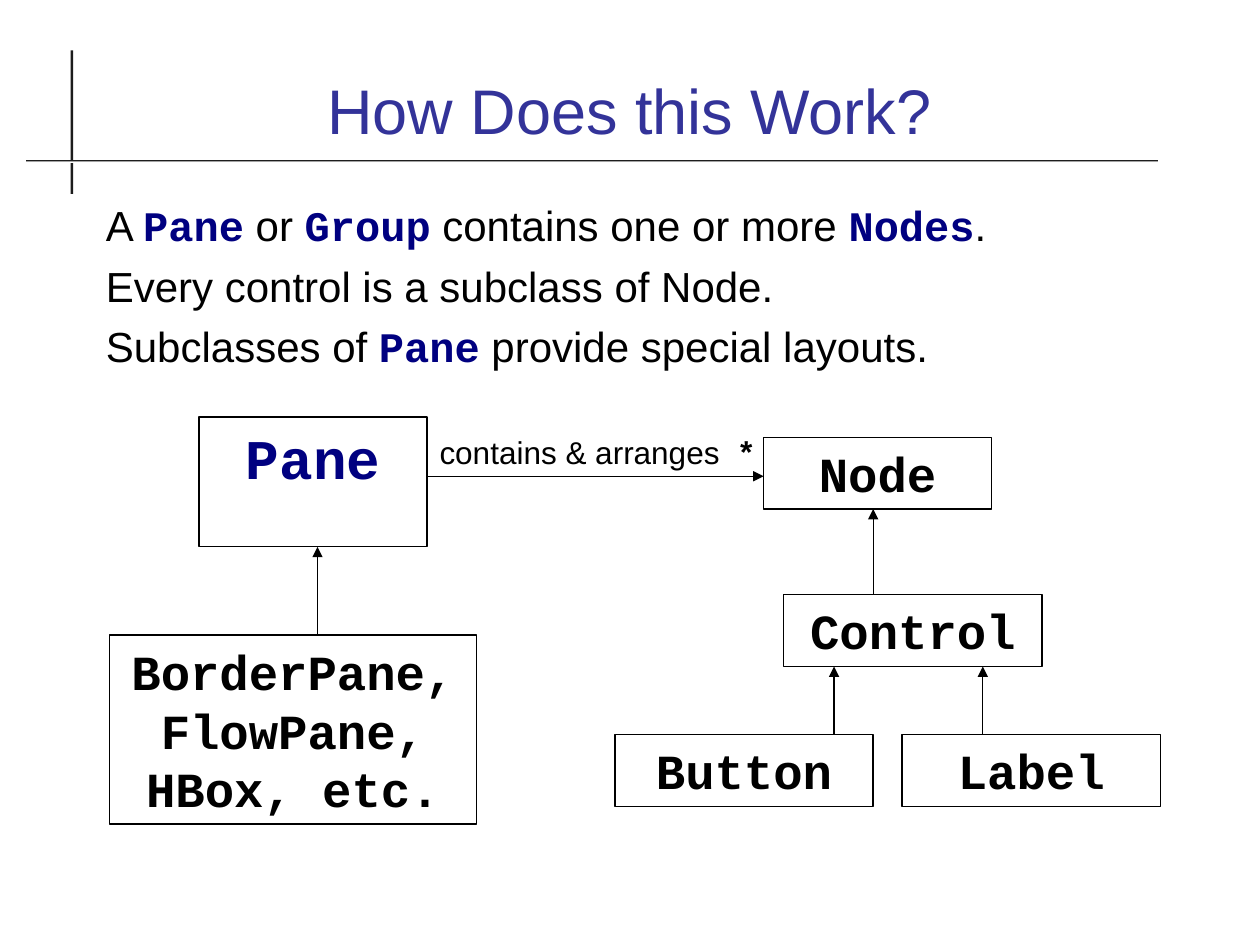
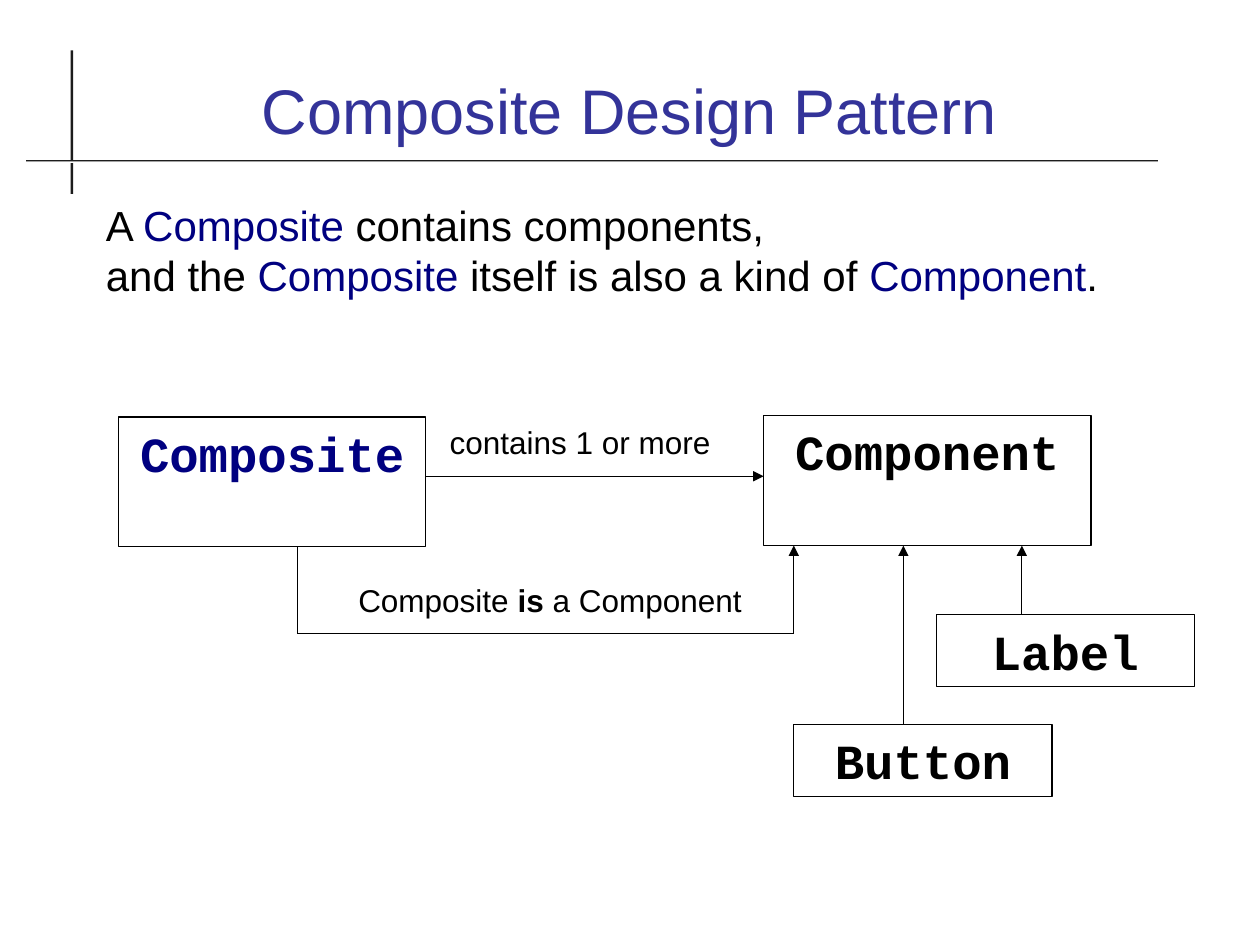
from lxml.etree import SubElement
from pptx import Presentation
from pptx.dml.color import RGBColor
from pptx.enum.shapes import MSO_CONNECTOR, MSO_SHAPE
from pptx.enum.text import MSO_ANCHOR, MSO_AUTO_SIZE, PP_ALIGN
from pptx.oxml.ns import qn
from pptx.util import Inches, Pt

SANS, MONO = "Arial", "Courier New"
BLACK, NAVY, TITLE, RULE, WHITE = "000000", "000080", "333399", "1C1C1C", "FFFFFF"
CODE = {"name": MONO, "color": NAVY, "bold": True}
TERM = {"color": NAVY}
BOLD = {"bold": True}
STAR = {"name": MONO, "bold": True}


def paint(target, color):
    """Give a fill or a font a solid hex colour."""
    if hasattr(target, "solid"):
        target.solid()
        target.fore_color.rgb = RGBColor.from_string(color)
    else:
        target.color.rgb = RGBColor.from_string(color)


def style(font, name=None, size=None, color=None, bold=None):
    if name:
        font.name = name
    if size:
        font.size = Pt(size)
    if color:
        paint(font, color)
    if bold is not None:
        font.bold = bold


def write(para, parts):
    """Add plain strings and (string, style) pairs; a newline breaks the line."""
    for part in parts:
        text, look = (part, {}) if isinstance(part, str) else part
        for i, line in enumerate(text.split("\n")):
            if i:
                para.add_line_break()
            run = para.add_run()
            run.text = line
            style(run.font, **look)


def place(shape, left, top, width, height):
    shape.left, shape.top = Inches(left), Inches(top)
    shape.width, shape.height = Inches(width), Inches(height)


def add_rect(slide, left, top, width, height):
    rect = slide.shapes.add_shape(MSO_SHAPE.RECTANGLE, Inches(left), Inches(top),
                                  Inches(width), Inches(height))
    rect.shadow.inherit = False
    return rect


def add_rules(slide, layout):
    """Draw the crossed rules once and move them to the shared layout."""
    post = add_rect(slide, 0.56, 0.4, 0.02, 1.14)
    paint(post.fill, RULE)
    beam = add_rect(slide, 0.21, 1.27, 8.98, 0.02)
    beam.fill.gradient()
    beam.fill.gradient_angle = 90
    for stop, color, at in zip(beam.fill.gradient_stops, (WHITE, RULE), (0, 1)):
        paint(stop, color)
        stop.position = at
    for rule in (post, beam):
        rule.line.fill.background()
        layout.shapes.element.append(rule.element)


def add_head(slide, text):
    title = slide.shapes.title
    place(title, 0.67, 0.28, 8.65, 0.94)
    frame = title.text_frame
    frame.auto_size = MSO_AUTO_SIZE.NONE
    frame.vertical_anchor = MSO_ANCHOR.BOTTOM
    frame.text = text
    para = frame.paragraphs[0]
    para.alignment = PP_ALIGN.CENTER
    style(para.font, SANS, 36, TITLE)


def add_body(slide, height, lines, hang=0):
    body = slide.placeholders[1]
    place(body, 0.74, 1.53, 8.65, height)
    frame = body.text_frame
    frame.auto_size = MSO_AUTO_SIZE.NONE
    for i, parts in enumerate(lines):
        para = frame.add_paragraph() if i else frame.paragraphs[0]
        para.space_before = Pt(6 if i else 0)
        props = para._p.get_or_add_pPr()
        props.set("marL", str(Inches(hang)))
        props.set("indent", str(-Inches(hang)))
        SubElement(props, qn("a:buNone"))
        style(para.font, SANS, 24, BLACK)
        write(para, parts)


def add_class(slide, text, left, top, width=2.05, height=0.57, size=28, color=BLACK):
    """Draw a class box with its name at the top."""
    rect = add_rect(slide, left, top, width, height)
    rect.fill.background()
    paint(rect.line.fill, BLACK)
    rect.line.width = Pt(0.75)
    frame = rect.text_frame
    frame.word_wrap = True
    frame.vertical_anchor = MSO_ANCHOR.TOP
    para = frame.paragraphs[0]
    para.alignment = PP_ALIGN.CENTER
    style(para.font, MONO, size, color, True)
    write(para, [text])
    return rect


def add_line(slide, x1, y1, x2, y2, arrow=True):
    line = slide.shapes.add_connector(MSO_CONNECTOR.STRAIGHT, x1, y1, x2, y2)
    paint(line.line.fill, BLACK)
    line.line.width = Pt(0.75)
    if arrow:
        SubElement(line.line._get_or_add_ln(), qn("a:tailEnd"), type="triangle")
    SubElement(line.element.spPr, qn("a:effectLst"))


def derive(slide, child, parent, x):
    """Point from the top of a subclass up to the bottom of its parent."""
    add_line(slide, x, child.top, x, parent.top + parent.height)


def own(slide, whole, part, y):
    """Point from the right of a container to the left of what it holds."""
    add_line(slide, whole.left + whole.width, y, part.left, y)


def add_note(slide, parts, left, top, width, height, tab=None, center=False):
    note = slide.shapes.add_textbox(Inches(left), Inches(top),
                                    Inches(width), Inches(height))
    note.text_frame.word_wrap = not center
    para = note.text_frame.paragraphs[0]
    if center:
        para.alignment = PP_ALIGN.CENTER
    if tab:
        tabs = SubElement(para._p.get_or_add_pPr(), qn("a:tabLst"))
        SubElement(tabs, qn("a:tab"), pos=str(Inches(tab)), algn="l")
    style(para.font, SANS, 18, BLACK)
    write(para, parts)


def draw_nodes(slide, left, top):
    pane = add_class(slide, "Pane", left + 0.71, top, 1.81, 1.03, 32, NAVY)
    node = add_class(slide, "Node", left + 5.19, top + 0.16, 1.81)
    control = add_class(slide, "Control", left + 5.35, top + 1.41)
    button = add_class(slide, "Button", left + 4.01, top + 2.52)
    label = add_class(slide, "Label", left + 6.29, top + 2.52)
    panes = add_class(slide, "BorderPane,\nFlowPane,\nHBox, etc.",
                      left, top + 1.73, 2.91, 1.5)
    for child, parent, x in ((control, node, 6.06), (label, control, 6.93),
                             (button, control, 5.75), (panes, pane, 1.65)):
        derive(slide, child, parent, Inches(left + x))
    own(slide, pane, node, Inches(top + 0.47))
    add_note(slide, ["contains & arranges\t", ("*", STAR)],
             left + 2.52, top + 0.08, 2.76, 0.7, tab=2.36)


def draw_pattern(slide, left, top):
    whole = add_class(slide, "Composite", left, top, 2.44, 1.03, color=NAVY)
    part = add_class(slide, "Component", left + 5.12, top - 0.01, 2.6, 1.03)
    button = add_class(slide, "Button", left + 5.36, top + 2.44)
    label = add_class(slide, "Label", left + 6.49, top + 1.57)
    derive(slide, button, part, Inches(left + 6.23))
    derive(slide, label, part, Inches(left + 7.17))
    own(slide, whole, part, Inches(top + 0.47))
    add_note(slide, ["contains 1 or more"], left + 2.53, top, 2.52, 0.4)

    start, end, low = Inches(left + 1.42), Inches(left + 5.36), Inches(top + 1.72)
    add_line(slide, start, whole.top + whole.height, start, low, arrow=False)
    add_line(slide, start, low, end, low, arrow=False)
    add_line(slide, end, low, end, part.top + part.height)
    add_note(slide, ["Composite ", ("is", BOLD), " a Component"],
             left + 1.58, top + 1.25, 3.69, 0.7, center=True)


def main():
    deck = Presentation()
    deck.slide_width, deck.slide_height = Inches(10), Inches(7.5)
    layout = deck.slide_layouts[1]

    work = deck.slides.add_slide(layout)
    add_rules(work, layout)
    add_head(work, "How Does this Work?")
    add_body(work, 1.54, [
        ["A ", ("Pane", CODE), " or ", ("Group", CODE),
         " contains one or more ", ("Nodes", CODE), "."],
        ["Every control is a subclass of Node."],
        ["Subclasses of ", ("Pane", CODE), " provide special layouts."],
    ], hang=0.37)
    draw_nodes(work, 0.87, 3.31)

    pattern = deck.slides.add_slide(layout)
    add_head(pattern, "Composite Design Pattern")
    add_body(pattern, 1.22, [
        ["A ", ("Composite", TERM), " contains components, \nand the ",
         ("Composite", TERM), " itself is also a kind of ",
         ("Component", TERM), "."],
    ])
    draw_pattern(pattern, 0.94, 3.31)

    deck.save("out.pptx")


if __name__ == "__main__":
    main()
